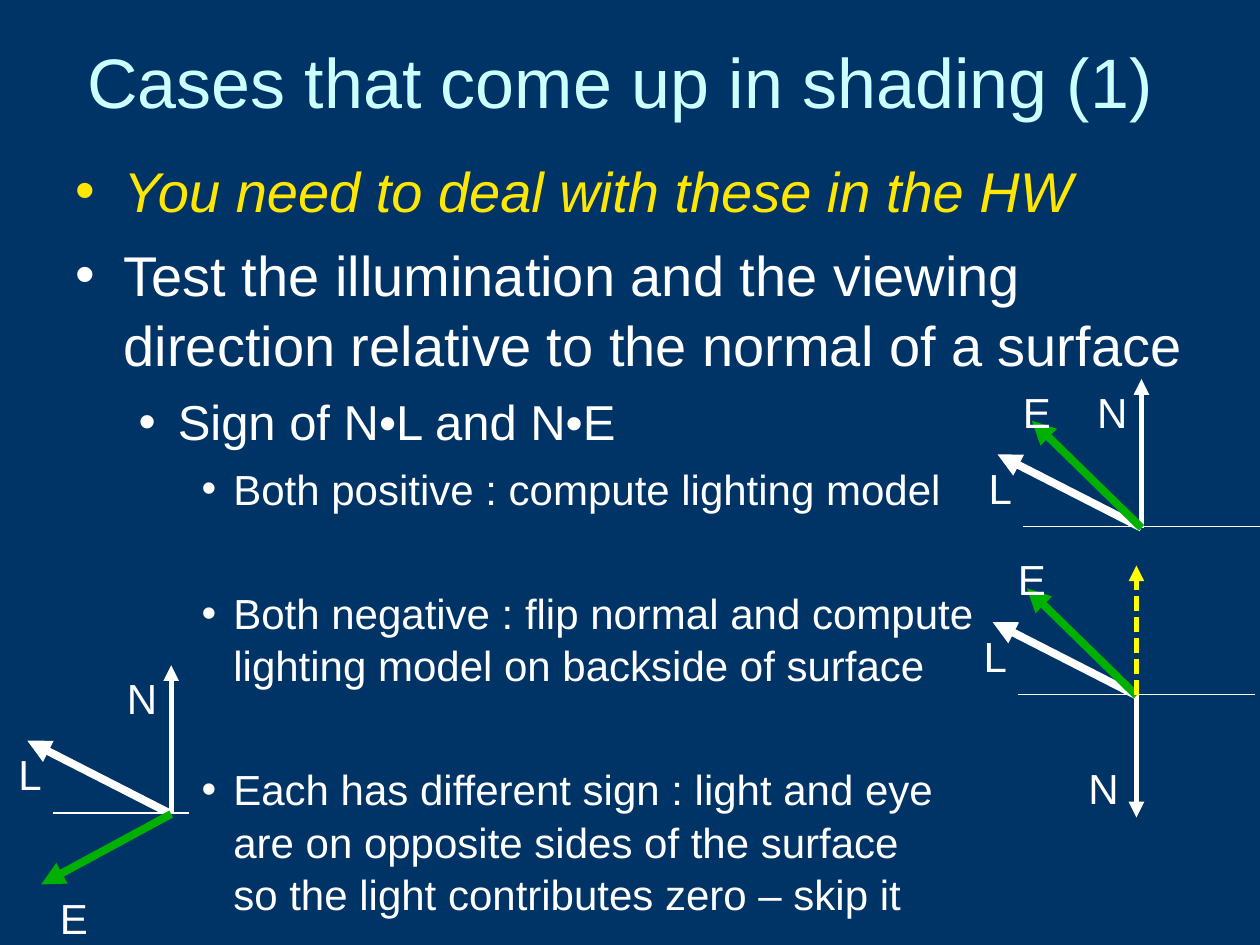
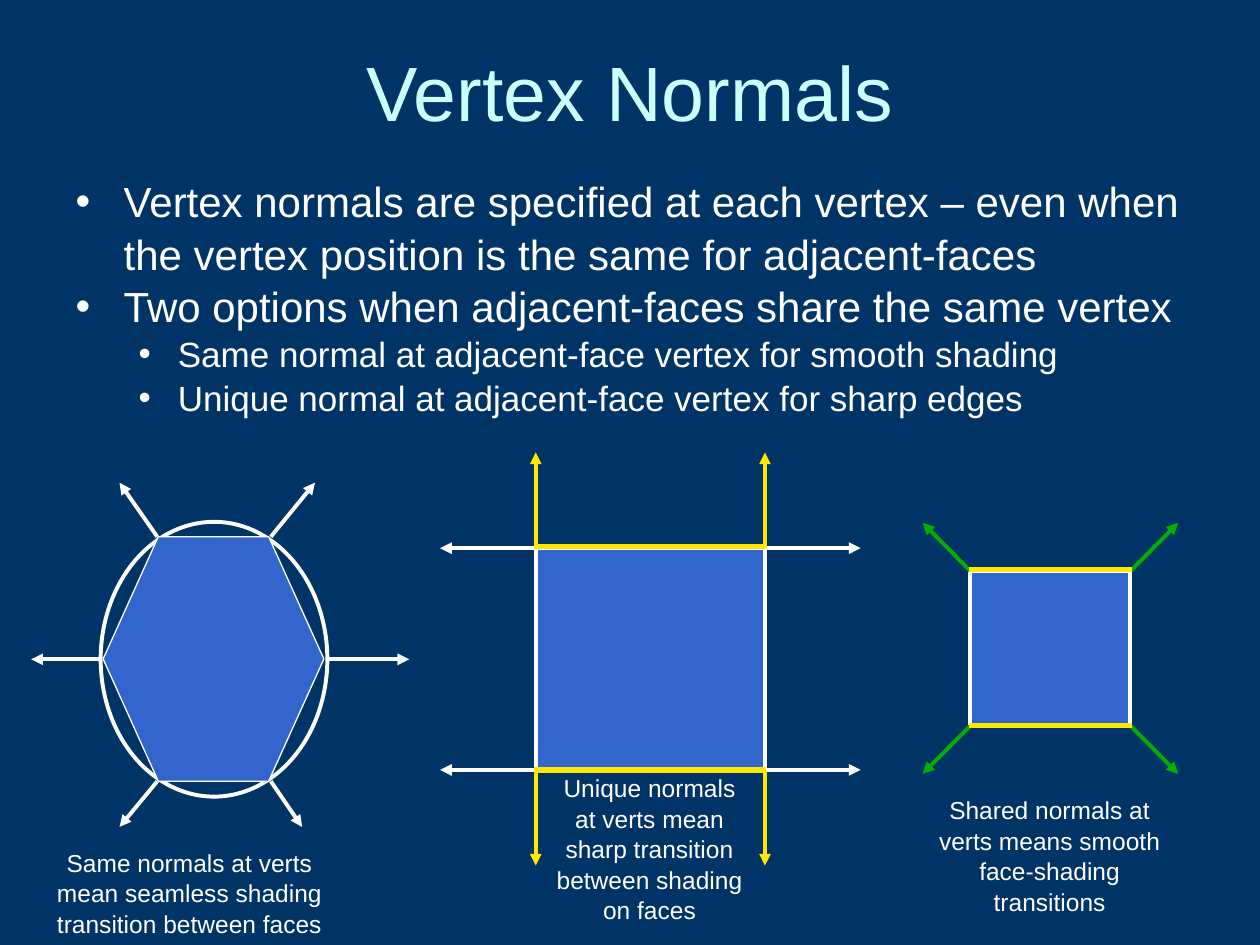
from itertools import product

from lxml import etree
from pptx import Presentation
from pptx import util as u
from pptx.dml.color import RGBColor
from pptx.enum import dml, shapes, text
from pptx.oxml.ns import qn

NAVY = RGBColor(0x00, 0x33, 0x66)
ICE = RGBColor(0xCC, 0xFF, 0xFF)
WHITE = RGBColor(0xFF, 0xFF, 0xFF)
GOLD = RGBColor(0xFF, 0xE7, 0x01)
YELLOW = RGBColor(0xFF, 0xFF, 0x00)
GREEN = RGBColor(0x00, 0xB0, 0x00)
BLUE = RGBColor(0x33, 0x66, 0xCC)
FONT = "Arial"
LINE_SPACING = 1.04
LEVEL_INDENTS = [(0.97, -0.97), (2.06, -0.79), (3.18, -0.64)]


def place(shape, box):
    shape.left, shape.top, shape.width, shape.height = map(u.Cm, box)


def format_paragraph(paragraph, size, color, alignment, space_before=0, italic=False):
    paragraph.alignment = alignment
    paragraph.line_spacing = LINE_SPACING
    paragraph.space_before = u.Pt(space_before)
    paragraph.space_after = u.Pt(0)
    for run in paragraph.runs:
        run.font.name = FONT
        run.font.size = u.Pt(size)
        run.font.color.rgb = color
        run.font.italic = italic


def add_bullet(paragraph, level, color):
    paragraph.level = level
    properties = paragraph._p.get_or_add_pPr()
    margin, indent = LEVEL_INDENTS[level]
    properties.set("marL", str(u.Cm(margin)))
    properties.set("indent", str(u.Cm(indent)))
    bullet_color = etree.SubElement(properties, qn("a:buClr"))
    etree.SubElement(bullet_color, qn("a:srgbClr"), val=str(color))
    etree.SubElement(properties, qn("a:buFont"), typeface=FONT)
    etree.SubElement(properties, qn("a:buChar"), char="•")


def set_title(slide, box, words, size):
    title = slide.shapes.title
    place(title, box)
    frame = title.text_frame
    frame.text = words
    frame.auto_size = text.MSO_AUTO_SIZE.NONE
    frame.vertical_anchor = text.MSO_ANCHOR.MIDDLE
    format_paragraph(frame.paragraphs[0], size, ICE, text.PP_ALIGN.CENTER)


def set_body(slide, box, items):
    body = slide.placeholders[1]
    place(body, box)
    frame = body.text_frame
    frame.text = "\n".join(item[0] for item in items)
    frame.auto_size = text.MSO_AUTO_SIZE.NONE
    for paragraph, (_, level, size, space_before, color) in zip(frame.paragraphs, items):
        add_bullet(paragraph, level, color)
        format_paragraph(paragraph, size, color, text.PP_ALIGN.LEFT,
                         space_before, italic=color == GOLD)


def add_line(slide, start, end, color, width, arrow=False):
    line = slide.shapes.add_connector(
        shapes.MSO_CONNECTOR.STRAIGHT, *map(u.Cm, (*start, *end)))
    line.line.color.rgb = color
    line.line.width = u.Pt(width)
    if arrow:
        etree.SubElement(line.line._get_or_add_ln(), qn("a:tailEnd"), type="triangle")
    etree.SubElement(line._element.spPr, qn("a:effectLst"))
    return line


def add_outline(slide, kind, box, width, filled=True):
    shape = slide.shapes.add_shape(kind, *map(u.Cm, box))
    shape.shadow.inherit = False
    if filled:
        shape.fill.solid()
        shape.fill.fore_color.rgb = BLUE
    else:
        shape.fill.background()
    shape.line.color.rgb = WHITE
    shape.line.width = u.Pt(width)


def add_label(slide, box, words, size, alignment=text.PP_ALIGN.LEFT, wrap=False):
    frame = slide.shapes.add_textbox(*map(u.Cm, box)).text_frame
    frame.word_wrap = wrap
    frame.text = words
    format_paragraph(frame.paragraphs[0], size, WHITE, alignment)


def shading_case(slide, vertex, normal_down=False, eye_below=False, surface_right=2.39):
    def point(x, y):
        return vertex[0] + x, vertex[1] + y

    normal_tip = point(0, 2.46 if normal_down else -3)
    eye_tip = point(-2.62, 1.42) if eye_below else point(-2.21, -2.16)
    add_line(slide, vertex, normal_tip, WHITE, 3, arrow=True)
    add_line(slide, vertex, point(-2.9, -1.48), WHITE, 4.5, arrow=True)
    add_line(slide, point(-2.38, -0.02), point(surface_right, -0.02), WHITE, 0.75)
    add_line(slide, vertex, eye_tip, GREEN, 4.5, arrow=True)
    if normal_down:
        flipped = add_line(slide, vertex, point(0, -2.62), YELLOW, 3, arrow=True)
        flipped.line.dash_style = dml.MSO_LINE.SQUARE_DOT
    labels = [
        ("N", point(-1.22, 1.19) if normal_down else point(-1.14, -3.02), 1.12),
        ("L", point(-3.33, -1.48), 0.97),
        ("E", point(-2.49, 1.42) if eye_below else point(-2.64, -3.02), 1.07),
    ]
    for letter, corner, width in labels:
        add_label(slide, (*corner, width, 1.27), letter, 24)


def smooth_hexagon(slide, box):
    left, top, width, height = box
    add_outline(slide, shapes.MSO_SHAPE.OVAL, box, 2.25, filled=False)
    add_outline(slide, shapes.MSO_SHAPE.HEXAGON,
                (left + 0.05, top + 0.3, width - 0.12, height - 0.61), 0.75)
    middle = height / 2
    normals = [
        ((1.14, 0.3), (0.38, -0.79)),
        ((3.43, 0.3), (4.32, -0.79)),
        ((0, middle), (-1.4, middle)),
        ((width, middle), (6.22, middle)),
        ((1.14, 5.23), (0.38, 6.15)),
        ((3.43, 5.23), (4.06, 6.15)),
    ]
    for start, end in normals:
        add_line(slide, (left + start[0], top + start[1]),
                 (left + end[0], top + end[1]), WHITE, 2.25, arrow=True)


def square_with_normals(slide, box, normals):
    left, top, width, height = box
    add_outline(slide, shapes.MSO_SHAPE.RECTANGLE, box, 2.25)
    for (side_x, side_y), (color, reach_x, reach_y) in product(
            product((-1, 1), repeat=2), normals):
        x = left + width * (side_x + 1) / 2
        y = top + height * (side_y + 1) / 2
        add_line(slide, (x, y), (x + side_x * reach_x, y + side_y * reach_y),
                 color, 2.25, arrow=True)
    for edge_y in (top - 0.03, top + height):
        add_line(slide, (left - 0.03, edge_y), (left + width + 0.02, edge_y), GOLD, 3)


def shading_cases_slide(presentation):
    slide = presentation.slides.add_slide(presentation.slide_layouts[1])
    set_title(slide, (0.43, 0, 24.13, 3.18), "Cases that come up in shading (1)", 40)
    set_body(slide, (1.27, 2.97, 23.29, 15.24), [
        ("You need to deal with these in the HW", 0, 32, 0, GOLD),
        ("Test the illumination and the viewing direction relative to the normal "
         "of a surface", 0, 32, 8, WHITE),
        ("Sign of N•L and N•E", 1, 28, 7, WHITE),
        ("Both positive : compute lighting model", 2, 24, 6, WHITE),
        ("Both negative : flip normal and compute\v"
         "lighting model on backside of surface", 2, 24, 41, WHITE),
        ("Each has different sign : light and eye\vare on opposite sides of the surface\v"
         "so the light contributes zero – skip it", 2, 24, 41, WHITE),
    ])
    shading_case(slide, (23.01, 10.64))
    shading_case(slide, (22.91, 14.02), normal_down=True)
    shading_case(slide, (3.45, 16.41), eye_below=True, surface_right=0.36)


def vertex_normals_slide(presentation):
    slide = presentation.slides.add_slide(presentation.slide_layouts[1])
    set_title(slide, (1.27, 0.2, 22.86, 3.18), "Vertex Normals", 44)
    set_body(slide, (1.27, 3.38, 23.06, 13), [
        ("Vertex normals are specified at each vertex – even when the vertex position "
         "is the same for adjacent-faces", 0, 24, 0, WHITE),
        ("Two options when adjacent-faces share the same vertex", 0, 24, 0, WHITE),
        ("Same normal at adjacent-face vertex for smooth shading", 1, 20, 0, WHITE),
        ("Unique normal at adjacent-face vertex for sharp edges", 1, 20, 0, WHITE),
    ])
    smooth_hexagon(slide, (2.03, 10.52, 4.57, 5.54))
    square_with_normals(slide, (10.8, 11.05, 4.62, 4.47),
                        [(WHITE, 1.93, 0), (GOLD, 0, 1.93)])
    square_with_normals(slide, (19.56, 11.51, 3.23, 3.12), [(GREEN, 0.96, 0.97)])
    captions = [
        ((0.43, 16.94, 6.78, 2.03),
         "Same normals at verts mean seamless shading transition between faces"),
        ((10.87, 15.44, 4.45, 3.23),
         "Unique normals at verts mean sharp transition between shading on faces"),
        ((18.62, 15.88, 5.08, 2.64),
         "Shared normals at verts means smooth face-shading transitions"),
    ]
    for box, words in captions:
        add_label(slide, box, words, 14, text.PP_ALIGN.CENTER, wrap=True)


def main():
    presentation = Presentation()
    presentation.slide_width = u.Cm(25.4)
    presentation.slide_height = u.Cm(19.05)
    background = presentation.slide_master.background.fill
    background.solid()
    background.fore_color.rgb = NAVY
    shading_cases_slide(presentation)
    vertex_normals_slide(presentation)
    presentation.save("out.pptx")


if __name__ == "__main__":
    main()
